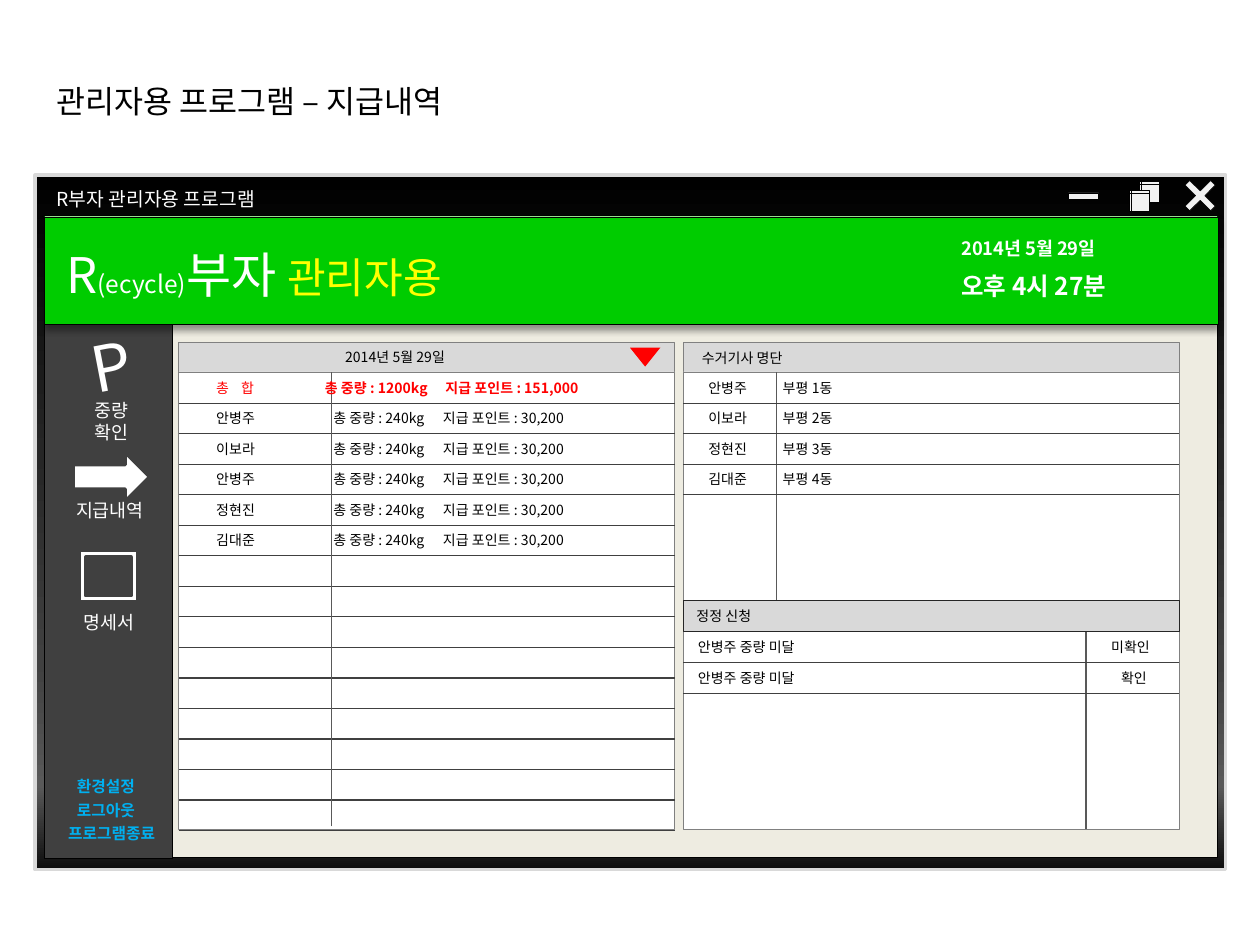
from lxml import etree
from pptx import Presentation
from pptx.dml.color import RGBColor
from pptx.enum.shapes import MSO_CONNECTOR, MSO_SHAPE
from pptx.enum.text import MSO_AUTO_SIZE, PP_ALIGN
from pptx.oxml.ns import qn
from pptx.util import Cm, Pt

RECT = MSO_SHAPE.RECTANGLE
STORAGE = MSO_SHAPE.FLOWCHART_INTERNAL_STORAGE
MULTIPLY = MSO_SHAPE.MATH_MULTIPLY
TRIANGLE = MSO_SHAPE.FLOWCHART_EXTRACT
ARROW = MSO_SHAPE.STRIPED_RIGHT_ARROW
FRAME = MSO_SHAPE.FRAME
STRAIGHT = MSO_CONNECTOR.STRAIGHT
LEFT, CENTER = PP_ALIGN.LEFT, PP_ALIGN.CENTER
FIT = MSO_AUTO_SIZE.SHAPE_TO_FIT_TEXT

BLACK = RGBColor(0x00, 0x00, 0x00)
WHITE = RGBColor(0xFF, 0xFF, 0xFF)
PALE = RGBColor(0xF2, 0xF2, 0xF2)
LIGHT = RGBColor(0xD9, 0xD9, 0xD9)
GRAY = RGBColor(0x80, 0x80, 0x80)
MID = RGBColor(0x59, 0x59, 0x59)
DARK = RGBColor(0x40, 0x40, 0x40)
INK = RGBColor(0x26, 0x26, 0x26)
CREAM = RGBColor(0xEE, 0xEC, 0xE1)
GREEN = RGBColor(0x00, 0xCC, 0x00)
YELLOW = RGBColor(0xFF, 0xFF, 0x00)
RED = RGBColor(0xFF, 0x00, 0x00)
BLUE = RGBColor(0x00, 0xB0, 0xF0)
FONT = "Noto Sans CJK KR"

WINDOW_STOPS = [(0, "000000"), (40, "262626"), (70, "404040"), (88, "595959"), (100, "0D0D0D")]
PAYEES = ["안병주", "이보라", "안병주", "정현진", "김대준"]
PAYMENT = "총 중량 : 240kg\t지급 포인트 : 30,200"
TOTAL = "총 중량 : 1200kg\t지급 포인트 : 151,000"
DRIVERS = [("안병주", "부평 1동"), ("이보라", "부평 2동"), ("정현진", "부평 3동"), ("김대준", "부평 4동")]
REQUESTS = [("안병주 중량 미달", "미확인", LEFT), ("안병주 중량 미달", "확인", CENTER)]
MENU = [("중량\n확인", 1.35, 7.92, 1.8), ("지급내역", 1.02, 9.93, 2.39), ("명세서", 1.3, 12.19, 1.8)]
SETTINGS = [("환경설정", 1.3, 1.85, LEFT), ("로그아웃", 1.3, 1.85, LEFT), ("프로그램종료", 0.89, 2.72, CENTER)]

LEFT_X, RIGHT_X, PANEL_W, PANEL_H = 3.6, 13.77, 10, 9.22
HEAD_Y, BODY_Y, MIDDLE_Y = 6.9, 7.5, 12.11
FIRST_LINE, LAST_LINE, LINES = 8.13, 16.74, 15
PITCH = (LAST_LINE - FIRST_LINE) / (LINES - 1)
ROW_H = 0.61

prs = Presentation()
prs.slide_width, prs.slide_height = Cm(25.4), Cm(19.05)
s = prs.slides.add_slide(prs.slide_layouts[6])


def add_text(text, x, y, w, h, size=8, color=BLACK, bold=False, align=LEFT, tabs=(), gap=0):
    sp = s.shapes.add_textbox(Cm(x), Cm(y), Cm(w), Cm(h))
    tf = sp.text_frame
    tf.word_wrap = True
    tf.auto_size = FIT
    runs = [(text, {})] if isinstance(text, str) else text
    p = tf.paragraphs[0]
    for content, style in runs:
        for i, line in enumerate(content.split("\n")):
            if i:
                p = tf.add_paragraph()
                p.space_before = Pt(gap)
            p.alignment = align
            r = p.add_run()
            r.text = line
            r.font.name = FONT
            r.font.size = Pt(style.get("size", size))
            r.font.bold = style.get("bold", bold)
            r.font.color.rgb = style.get("color", color)
            etree.SubElement(r._r.get_or_add_rPr(), qn("a:ea"), typeface=FONT)
    if tabs:
        tab_list = etree.SubElement(tf.paragraphs[0]._p.get_or_add_pPr(), qn("a:tabLst"))
        for tab in tabs:
            etree.SubElement(tab_list, qn("a:tab"), pos=str(Cm(tab)), algn="l")
    return sp


def add_box(kind, x, y, w, h, fill, line=BLACK, width=0.25):
    sp = s.shapes.add_shape(kind, Cm(x), Cm(y), Cm(w), Cm(h))
    sp.shadow.inherit = False
    sp.fill.solid()
    sp.fill.fore_color.rgb = fill
    if line is None:
        sp.line.fill.background()
    else:
        sp.line.color.rgb = line
        sp.line.width = Pt(width)
    return sp


def add_line(x1, y1, x2, y2, color=DARK):
    c = s.shapes.add_connector(STRAIGHT, Cm(x1), Cm(y1), Cm(x2), Cm(y2))
    c.line.color.rgb = color
    c.line.width = Pt(0.75)
    etree.SubElement(c._element.spPr, qn("a:effectLst"))
    return c


def set_gradient(sp, stops):
    sp.fill.gradient()
    sp.fill.gradient_angle = 270
    stop_list = sp._element.spPr.find(".//" + qn("a:gsLst"))
    for old in list(stop_list):
        stop_list.remove(old)
    for pos, color in stops:
        gs = etree.SubElement(stop_list, qn("a:gs"), pos=str(pos * 1000))
        etree.SubElement(gs, qn("a:srgbClr"), val=color)


def set_shadow(sp):
    effects = sp._element.spPr.find(qn("a:effectLst"))
    shadow = etree.SubElement(effects, qn("a:outerShdw"), blurRad=str(Pt(4)), dist=str(Pt(3)),
                              dir="5400000", rotWithShape="0")
    color = etree.SubElement(shadow, qn("a:srgbClr"), val="000000")
    etree.SubElement(color, qn("a:alpha"), val="40000")


add_text("관리자용 프로그램 – 지급내역", 0.89, 1.52, 13, 1.02, size=18)
window = add_box(RECT, 0.71, 3.53, 24, 14, BLACK, LIGHT, 2)
set_gradient(window, WINDOW_STOPS)
add_box(RECT, 0.89, 4.34, 23.65, 12.95, CREAM, width=0.5)
add_box(RECT, 21.54, 3.89, 0.61, 0.13, PALE)
for x, y in [(22.96, 3.66), (22.76, 3.84)]:
    add_box(STORAGE, x, y, 0.41, 0.41, PALE)
close = add_box(MULTIPLY, 23.7, 3.45, 0.99, 0.99, PALE)
close.adjustments[0] = 0.13
add_text("R부자 관리자용 프로그램", 0.89, 3.66, 8, 0.74, size=11, color=WHITE)

add_box(RECT, 0.89, 6.53, 2.59, 10.77, DARK)
set_shadow(add_box(RECT, 0.89, 4.37, 23.67, 2.16, GREEN))
add_text([("R", {}), ("(ecycle)", {"size": 14}), ("부자 ", {}),
          ("관리자용", {"size": 24, "color": YELLOW})],
         1.09, 4.8, 12.8, 1.45, size=28, color=WHITE)
add_text([("2014년 5월 29일\n", {}), ("오후 4시 27분", {"size": 14})],
         19.13, 4.65, 4.09, 1.55, size=10.5, color=WHITE, bold=True, gap=7)

panels = {}
for x in (LEFT_X, RIGHT_X):
    add_box(RECT, x, HEAD_Y, PANEL_W, PANEL_H, LIGHT, GRAY)
    panels[x] = add_box(RECT, x, BODY_Y, PANEL_W, PANEL_H, WHITE, GRAY)

add_text("2014년 5월 29일", 6.71, 6.91, 5.79, ROW_H)
add_box(TRIANGLE, 12.7, 7.01, 0.61, 0.38, RED, None).rotation = 180
for i in range(LINES):
    y = FIRST_LINE + i * PITCH
    add_line(LEFT_X, y, LEFT_X + PANEL_W, y)
add_line(6.68, 16.66, 6.68, BODY_Y, MID)
row_y = [FIRST_LINE - ROW_H + i * PITCH for i in range(len(PAYEES) + 1)]
add_text([("총\t합\t", {}), (TOTAL, {"bold": True})], 4.11, row_y[0], 9.5, ROW_H,
         color=RED, tabs=(0.5, 2.19, 4.62))
for name, y in zip(PAYEES, row_y[1:]):
    add_text(f"{name}\t{PAYMENT}", 4.11, y, 9.5, ROW_H, tabs=(2.36, 4.57))

add_text("수거기사 명단", 13.9, 6.93, 5.79, ROW_H)
add_line(15.65, MIDDLE_Y, 15.65, BODY_Y, MID)
for i, (name, area) in enumerate(DRIVERS):
    y = FIRST_LINE + i * PITCH
    add_line(RIGHT_X, y, RIGHT_X + PANEL_W, y)
    add_text(f"{name}\t{area}", 14.03, y - ROW_H, 5.79, ROW_H, tabs=(1.5,))

divider = add_line(RIGHT_X, MIDDLE_Y, RIGHT_X + PANEL_W, MIDDLE_Y)
divider.begin_connect(panels[RIGHT_X], 1)
divider.end_connect(panels[RIGHT_X], 3)
add_line(21.89, BODY_Y + PANEL_H, 21.89, MIDDLE_Y, MID)
add_box(RECT, RIGHT_X, MIDDLE_Y, PANEL_W, ROW_H, LIGHT, INK)
add_text("정정 신청", 13.79, 12.12, 5.79, ROW_H)
for i, (request, state, align) in enumerate(REQUESTS):
    y = 13.36 + i * PITCH
    add_line(RIGHT_X, y, RIGHT_X + PANEL_W, y)
    add_text(request, 13.82, y - ROW_H, 5.79, ROW_H)
    add_text(state, 22.15, y - ROW_H, 1.42, ROW_H, align=align)

add_text("P", 1.6, 6.45, 1.47, 1.8, size=36, color=WHITE).rotation = 349
add_box(ARROW, 1.32, 9.12, 1.7, 0.99, WHITE, DARK, 2)
add_box(FRAME, 1.6, 11.1, 1.17, 1.04, WHITE, DARK, 2)
for label, x, y, w in MENU:
    add_text(label, x, y, w, 0.71, size=10.5, color=WHITE, align=CENTER)
for i, (label, x, w, align) in enumerate(SETTINGS):
    add_text(label, x, 15.54 + i * 0.47, w, 0.64, size=9, color=BLUE, bold=True, align=align)

prs.save("out.pptx")
